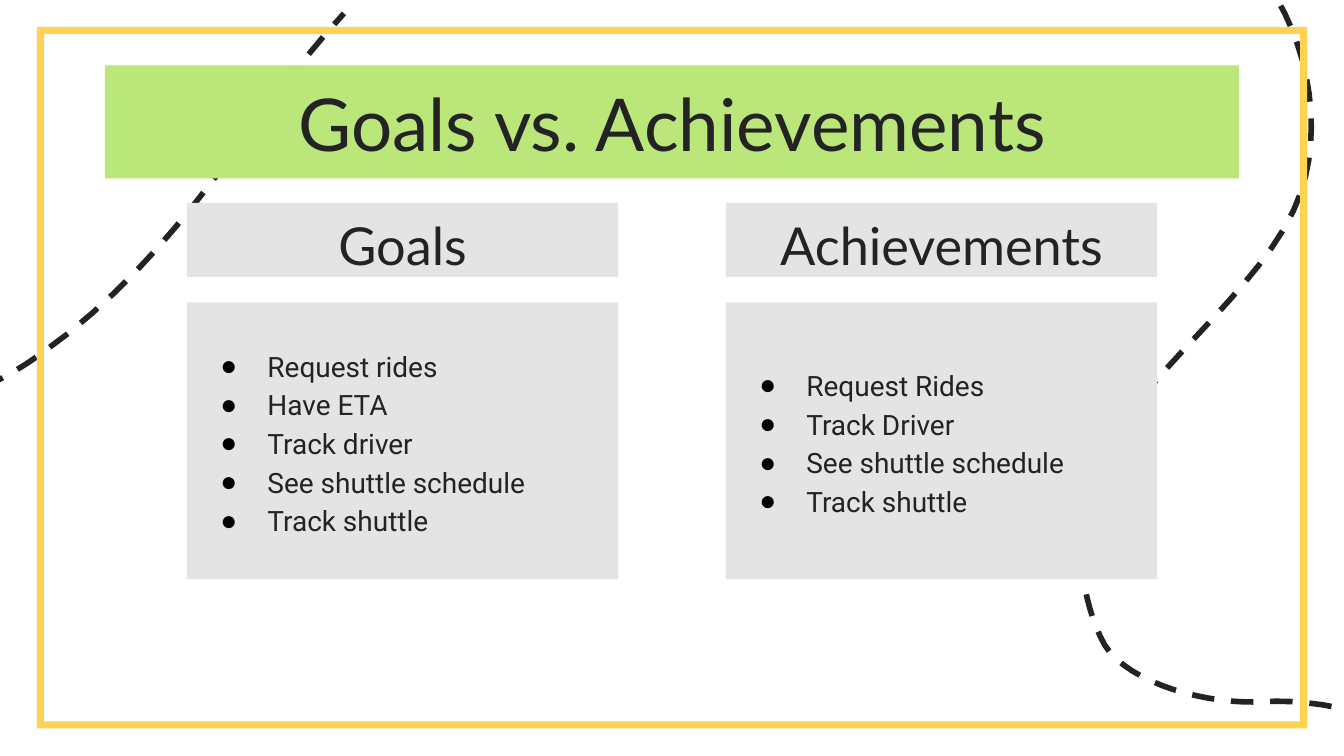
import pptx
import pptx.util
import pptx.dml.color
import pptx.enum.dml
import pptx.enum.shapes
import pptx.enum.text
import pptx.oxml
import pptx.oxml.ns

INK, GREEN, GREY, GOLD = "232325", "BBE679", "E4E4E4", "FFD251"
Align = pptx.enum.text.PP_ALIGN
Anchor = pptx.enum.text.MSO_ANCHOR


def paint(color, code):
    color.rgb = pptx.dml.color.RGBColor.from_string(code)


def paint_fill(item, code):
    item.fill.solid()
    paint(item.fill.fore_color, code)


def trace(start, curves, steps=16):
    """Points along a chain of cubic Bezier curves."""
    points = [start]
    for b, c, d in curves:
        a = points[-1]
        for i in range(1, steps + 1):
            t = i / steps
            u = 1 - t
            points.append(tuple(
                u**3 * p + 3 * u * u * t * q + 3 * u * t * t * r + t**3 * s
                for p, q, r, s in zip(a, b, c, d)))
    return points


class Deck:
    """Holds the style and the slide; lengths are in cells, 100 to the slide's width."""

    def __init__(self, width, ratio, layout):
        self.file = pptx.Presentation()
        self.file.slide_width = pptx.util.Inches(width)
        self.file.slide_height = pptx.util.Inches(width * ratio)
        self.cell = self.file.slide_width / 100
        self.slide = self.file.slides.add_slide(self.file.slide_layouts[layout])
        paint_fill(self.slide.background, "FFFFFF")

    def size(self, cells):
        return round(cells * self.cell)

    def route(self, start, curves):
        """Dashed curved line."""
        first, *rest = [tuple(map(self.size, p)) for p in trace(start, curves)]
        pen = self.slide.shapes.build_freeform(*first)
        pen.add_line_segments(rest, close=False)
        shape = pen.convert_to_shape()
        shape.shadow.inherit = False
        shape.fill.background()
        shape.line.width = pptx.util.Pt(3)
        shape.line.dash_style = pptx.enum.dml.MSO_LINE.DASH
        paint(shape.line.color, INK)

    def frame(self, box, code):
        kind = pptx.enum.shapes.MSO_SHAPE.FRAME
        shape = self.slide.shapes.add_shape(kind, *map(self.size, box))
        shape.adjustments[0] = 0.01
        shape.shadow.inherit = False
        shape.line.fill.background()
        paint_fill(shape, code)

    def text(self, slot, box, lines, code, font, points,
             anchor=Anchor.MIDDLE, space=1.15, bullet=False):
        """Fill a placeholder and bring it to the front."""
        shape = self.slide.placeholders[slot]
        shape.left, shape.top, shape.width, shape.height = map(self.size, box)
        shape.element.getparent().append(shape.element)
        paint_fill(shape, code)
        frame = shape.text_frame
        frame.text = "\n".join(lines)
        frame.word_wrap = True
        frame.auto_size = pptx.enum.text.MSO_AUTO_SIZE.NONE
        frame.vertical_anchor = anchor
        frame.margin_left = frame.margin_right = self.size(1)
        frame.margin_top = frame.margin_bottom = self.size(1)
        for para in frame.paragraphs:
            para.line_spacing = space
            para.space_before = pptx.util.Pt(0)
            para.alignment = Align.LEFT if bullet else Align.CENTER
            if bullet:
                self.mark(para)
            para.font.name = font
            para.font.size = pptx.util.Pt(points)
            para.font.bold = False
            paint(para.font.color, INK)

    def mark(self, para):
        """Round black bullet with a hanging indent."""
        props = para._p.get_or_add_pPr()
        props.set("marL", str(self.size(5)))
        props.set("indent", str(self.size(-3.5)))
        space = pptx.oxml.ns.nsdecls("a")
        for xml in (f'<a:buClr {space}><a:srgbClr val="000000"/></a:buClr>',
                    f'<a:buChar {space} char="●"/>'):
            props.append(pptx.oxml.parse_xml(xml))


def main():
    deck = Deck(10, 9 / 16, layout=4)
    deck.route((109.3, 69.8), [
        ((110, 68.5), (110.4, 67), (110.4, 65.4)),
        ((110.2, 53.1), (98.4, 52), (94.1, 52.2)),
        ((90, 52.5), (84, 50.9), (82.2, 48)),
        ((80.4, 44.8), (79.8, 39.4), (81.1, 35.8)),
        ((83.8, 28.3), (94.3, 21.7), (96.8, 14.3)),
        ((98.9, 8.1), (96.5, 0.3), (92.2, -3.7)),
    ])
    deck.route((-12.4, 32.4), [
        ((-7.1, 30.1), (-3, 30.7), (3.1, 26.3)),
        ((13.7, 18.7), (18.3, 8.9), (25.6, 1)),
    ])
    deck.frame((2.75, 2, 94.5, 52.2), GOLD)
    deck.text(0, (7.8, 4.87, 84.4, 8.4), ["Goals vs. Achievements"],
              GREEN, "Lato", 39, anchor=Anchor.TOP, space=1.0)

    columns = [
        ("Goals", ["Request rides", "Have ETA", "Track driver",
                   "See shuttle schedule", "Track shuttle"]),
        ("Achievements", ["Request Rides", "Track Driver",
                          "See shuttle schedule", "Track shuttle"]),
    ]
    for i, (head, items) in enumerate(columns):
        left = 13.9 + 40.1 * i
        deck.text(2 * i + 1, (left, 15.1, 32.1, 5.5), [head], GREY, "Lato", 28)
        deck.text(2 * i + 2, (left, 22.5, 32.1, 20.6), items,
                  GREY, "Roboto", 15, bullet=True)
    deck.file.save("out.pptx")


if __name__ == "__main__":
    main()
